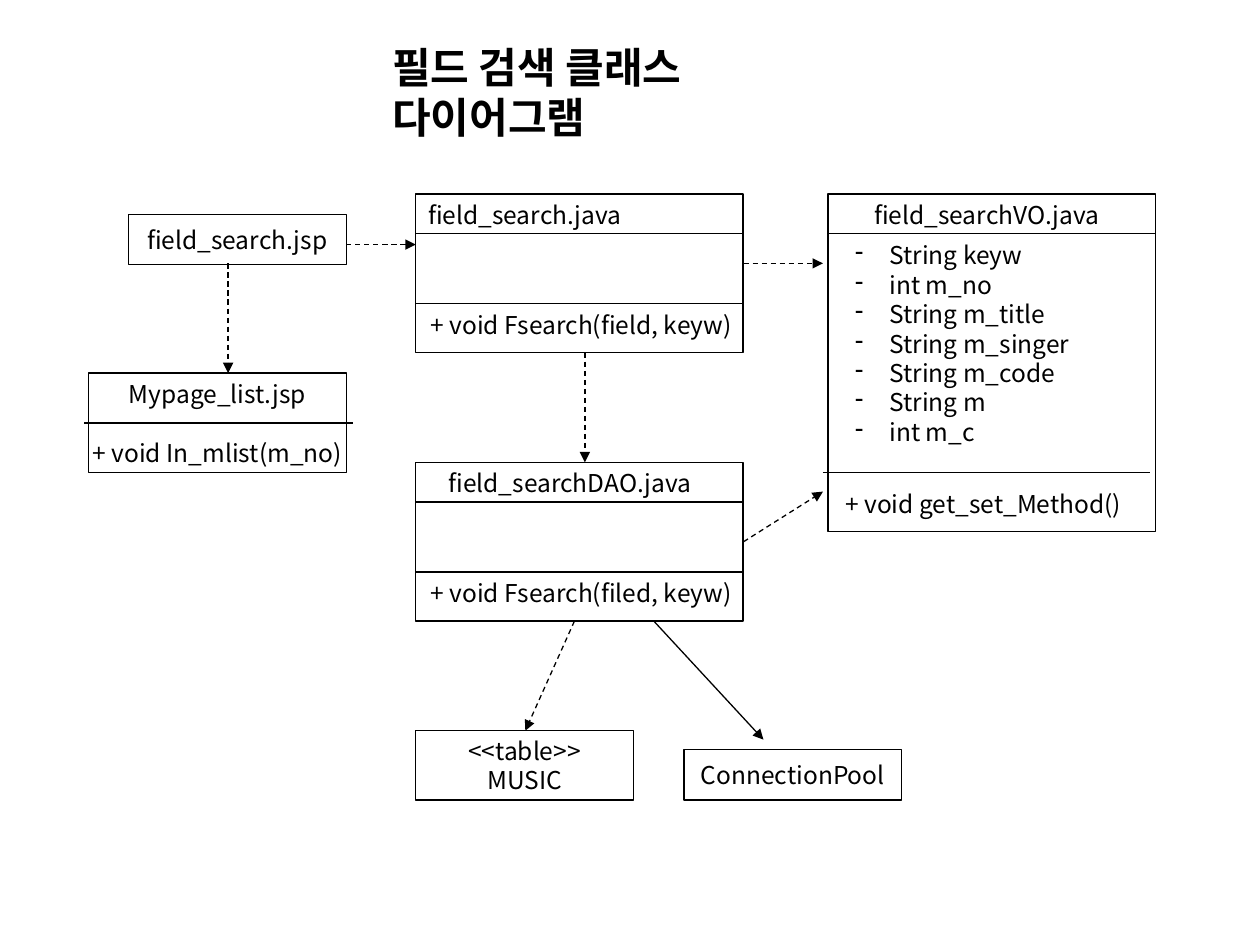
from dataclasses import dataclass

from lxml import etree
from pptx import Presentation
from pptx.dml.color import RGBColor
from pptx.enum.dml import MSO_LINE
from pptx.enum.shapes import MSO_CONNECTOR, MSO_SHAPE
from pptx.enum.text import MSO_ANCHOR, MSO_AUTO_SIZE, PP_ALIGN
from pptx.oxml.ns import qn
from pptx.util import Cm, Pt

FONT = "Noto Sans CJK KR"
BLACK, WHITE = "000000", "FFFFFF"
STRAIGHT = MSO_CONNECTOR.STRAIGHT
RECTANGLE = MSO_SHAPE.RECTANGLE
DASH = MSO_LINE.DASH
LEFT, CENTER = PP_ALIGN.LEFT, PP_ALIGN.CENTER
TOP, MIDDLE = MSO_ANCHOR.TOP, MSO_ANCHOR.MIDDLE
FIT_SHAPE, FIT_NONE = MSO_AUTO_SIZE.SHAPE_TO_FIT_TEXT, MSO_AUTO_SIZE.NONE
LINE_WIDTH = Pt(0.75)
TITLE_ONLY = 5
LABEL_HEIGHT = 0.86
NAME_HEIGHT = 0.8


@dataclass
class Label:
    """A line of text; left and top are offsets from its class box."""
    text: str
    left: float
    top: float
    width: float


@dataclass
class ClassBox:
    left: float
    top: float
    width: float
    height: float
    name: Label
    method: Label
    divider_left: float
    divider_top: float
    grouped: bool


@dataclass
class SimpleBox:
    lines: list[str]
    left: float
    top: float
    width: float
    height: float
    gap: float = 0


@dataclass
class Arrow:
    start: tuple[float, float]
    end: tuple[float, float]
    dashed: bool = True


CLASSES = [
    ClassBox(8.38, 3.91, 6.6, 3.2,
             Label("field_search.java", 0, 0, 4.42),
             Label("+ void Fsearch(field, keyw)", 0.05, 2.21, 6.71),
             0, 2.21, True),
    ClassBox(8.38, 9.32, 6.6, 3.2,
             Label("field_searchDAO.java", 0.41, 0, 5.44),
             Label("+ void Fsearch(filed, keyw)", 0.05, 2.21, 6.71),
             0, 2.21, True),
    ClassBox(16.69, 3.91, 6.6, 6.81,
             Label("field_searchVO.java", 0.68, 0, 5.08),
             Label("+ void get_set_Method()", 0.1, 5.82, 6.15),
             -0.1, 5.61, False),
]
SIMPLE_BOXES = [
    SimpleBox(["field_search.jsp"], 2.59, 4.32, 4.39, 1.02),
    SimpleBox(["<<table>>", "MUSIC"], 8.38, 14.73, 4.39, 1.4),
    SimpleBox(["ConnectionPool"], 13.79, 15.11, 4.39, 1.02),
    SimpleBox(["Mypage_list.jsp", "+ void In_mlist(m_no)"],
              1.78, 7.52, 5.21, 2.01, gap=17),
]
ARROWS = [
    Arrow((6.98, 4.93), (8.38, 4.93)),
    Arrow((11.79, 7.11), (11.79, 9.32)),
    Arrow((11.58, 12.52), (10.59, 14.73)),
    Arrow((13.18, 12.52), (15.39, 14.91), dashed=False),
    Arrow((14.99, 10.92), (16.59, 9.91)),
    Arrow((14.99, 5.31), (16.59, 5.31)),
    Arrow((4.6, 5.31), (4.6, 7.52)),
]
ATTRIBUTES = ["String keyw", "int m_no", "String m_title", "String m_singer",
              "String m_code", "String m", "int m_c"]


def color(value: str) -> RGBColor:
    return RGBColor.from_string(value)


def write_lines(shape, lines: list[str], alignment=LEFT, size=14, bold=False,
                gap=0, wrap=False, anchor=TOP, auto_size=FIT_SHAPE) -> None:
    frame = shape.text_frame
    frame.text = "\n".join(lines)
    frame.word_wrap = wrap
    frame.vertical_anchor = anchor
    frame.auto_size = auto_size
    for index, paragraph in enumerate(frame.paragraphs):
        paragraph.alignment = alignment
        paragraph.space_before = Pt(gap if index else 0)
        font = paragraph.font
        font.name, font.size, font.bold = FONT, Pt(size), bold
        font.color.rgb = color(BLACK)


def add_box(shapes, left: float, top: float, width: float, height: float):
    box = shapes.add_shape(RECTANGLE, Cm(left), Cm(top), Cm(width), Cm(height))
    box.shadow.inherit = False
    box.fill.solid()
    box.fill.fore_color.rgb = color(WHITE)
    box.line.color.rgb = color(BLACK)
    box.line.width = LINE_WIDTH
    return box


def add_line(shapes, start: tuple[float, float], end: tuple[float, float]):
    points = [Cm(value) for value in (*start, *end)]
    line = shapes.add_connector(STRAIGHT, *points)
    line.line.color.rgb = color(BLACK)
    line.line.width = LINE_WIDTH
    etree.SubElement(line._element.spPr, qn("a:effectLst"))
    return line


def add_arrow(shapes, arrow: Arrow) -> None:
    line = add_line(shapes, arrow.start, arrow.end)
    if arrow.dashed:
        line.line.dash_style = DASH
    etree.SubElement(line.line._get_or_add_ln(), qn("a:tailEnd"), type="triangle")


def add_class(shapes, box: ClassBox) -> None:
    if box.grouped:
        shapes = shapes.add_group_shape().shapes
    add_box(shapes, box.left, box.top, box.width, box.height)
    for offset, top in ((0, NAME_HEIGHT), (box.divider_left, box.divider_top)):
        left, y = box.left + offset, box.top + top
        add_line(shapes, (left, y), (left + box.width, y))
    for label in (box.name, box.method):
        text_box = shapes.add_textbox(Cm(box.left + label.left), Cm(box.top + label.top),
                                      Cm(label.width), Cm(LABEL_HEIGHT))
        write_lines(text_box, [label.text])


def add_simple_box(shapes, box: SimpleBox) -> None:
    shape = add_box(shapes, box.left, box.top, box.width, box.height)
    write_lines(shape, box.lines, CENTER, gap=box.gap, anchor=MIDDLE, auto_size=FIT_NONE)


def add_attributes(shapes) -> None:
    text_box = shapes.add_textbox(Cm(16.99), Cm(4.72), Cm(4.95), Cm(4.42))
    write_lines(text_box, ATTRIBUTES, wrap=True)
    for paragraph in text_box.text_frame.paragraphs:
        properties = paragraph._p.get_or_add_pPr()
        properties.set("marL", str(Cm(0.69)))
        properties.set("indent", str(-Cm(0.69)))
        bullet = etree.Element(qn("a:buChar"), char="-")
        properties.find(qn("a:defRPr")).addprevious(bullet)


def format_title(title) -> None:
    title.left, title.top = Cm(7.65), Cm(0.71)
    title.width, title.height = Cm(10.41), Cm(1.27)
    write_lines(title, ["필드 검색 클래스 다이어그램"], size=24, bold=True)
    run_properties = title.text_frame.paragraphs[0].runs[0]._r.get_or_add_rPr()
    etree.SubElement(run_properties, qn("a:ea"), typeface=FONT)


def main() -> None:
    presentation = Presentation()
    presentation.slide_width, presentation.slide_height = Cm(25.4), Cm(19.05)
    slide = presentation.slides.add_slide(presentation.slide_layouts[TITLE_ONLY])
    shapes = slide.shapes
    format_title(shapes.title)
    for class_box in CLASSES:
        add_class(shapes, class_box)
    for simple_box in SIMPLE_BOXES:
        add_simple_box(shapes, simple_box)
    add_line(shapes, (1.7, 8.53), (7.11, 8.53))
    add_attributes(shapes)
    for arrow in ARROWS:
        add_arrow(shapes, arrow)
    presentation.save("out.pptx")


if __name__ == "__main__":
    main()
